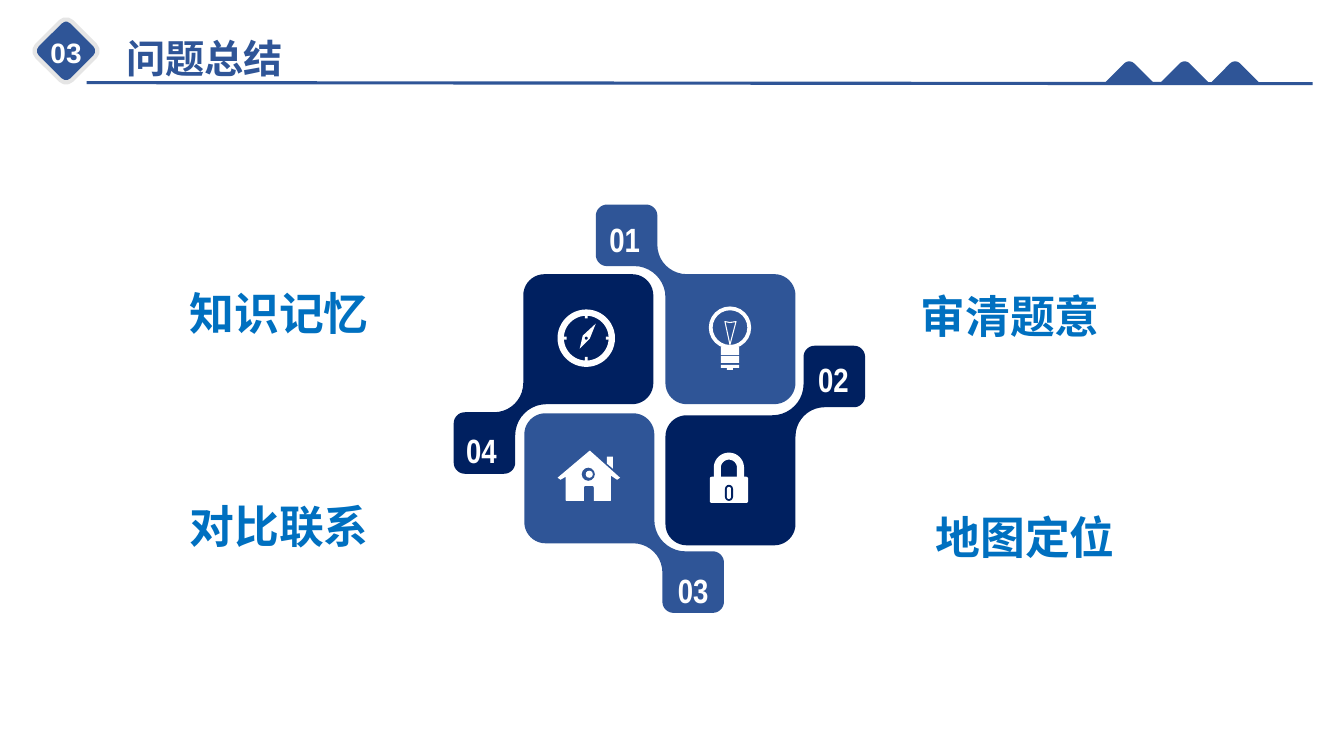
from math import dist
from lxml.etree import SubElement
from pptx import Presentation
from pptx.dml.color import RGBColor
from pptx.enum.shapes import MSO_CONNECTOR, MSO_SHAPE
from pptx.enum.text import MSO_ANCHOR, PP_ALIGN
from pptx.oxml.ns import qn
from pptx.util import Inches, Pt

COLORS = {"blue": "2F5597", "navy": "002060", "label": "0070C0", "white": "FFFFFF", "edge": "E5E5E5"}
CJK_FONT = "Noto Sans CJK SC"


def write_text(box, text, size, color, font="Arial", align=PP_ALIGN.LEFT, wrap=True, spacing=1.0):
    frame = box.text_frame
    frame.word_wrap = wrap
    frame.vertical_anchor = MSO_ANCHOR.TOP
    paragraph = frame.paragraphs[0]
    paragraph.alignment = align
    paragraph.line_spacing = spacing
    run = paragraph.add_run()
    run.text = text
    run.font.size = Pt(size)
    run.font.bold = True
    run.font.color.rgb = RGBColor.from_string(COLORS[color])
    run.font.name = font
    SubElement(run._r.get_or_add_rPr(), qn("a:ea"), typeface=CJK_FONT)


def add_outline(shapes, corners, color):
    points = []
    for index, (x, y, radius) in enumerate(corners):
        if not radius:
            points.append((x, y))
            continue
        ends = []
        for near_x, near_y, _ in (corners[index - 1], corners[(index + 1) % len(corners)]):
            share = radius / dist((x, y), (near_x, near_y))
            ends.append((x + (near_x - x) * share, y + (near_y - y) * share))
        (start_x, start_y), (end_x, end_y) = ends
        for step in range(11):
            t = step / 10
            first = (1 - t) ** 3 + 1.35 * t * (1 - t) ** 2
            last = t ** 3 + 1.35 * t ** 2 * (1 - t)
            middle = 1 - first - last
            points.append((start_x * first + x * middle + end_x * last,
                           start_y * first + y * middle + end_y * last))
    emu = [(Inches(x), Inches(y)) for x, y in points]
    builder = shapes.build_freeform(*emu[0], scale=1.0)
    builder.add_line_segments(emu[1:], close=True)
    shape = builder.convert_to_shape()
    shape.shadow.inherit = False
    shape.fill.solid()
    shape.fill.fore_color.rgb = RGBColor.from_string(COLORS[color])
    shape.line.fill.background()
    return shape


presentation = Presentation()
presentation.slide_width = Inches(13.33)
presentation.slide_height = Inches(7.5)
slide = presentation.slides.add_slide(presentation.slide_layouts[5])

title = slide.shapes.title
title.left, title.top, title.width, title.height = map(Inches, (1.15, 0.29, 1.76, 0.57))
write_text(title, "问题总结", 28, "blue", wrap=False)

badge = slide.shapes.add_shape(MSO_SHAPE.ROUNDED_RECTANGLE, *map(Inches, (0.41, 0.26, 0.49, 0.49)))
badge.rotation = 45
badge.shadow.inherit = False
badge.fill.solid()
badge.fill.fore_color.rgb = RGBColor.from_string(COLORS["blue"])
badge.line.color.rgb = RGBColor.from_string(COLORS["edge"])
badge.line.width = Pt(3)
badge_number = slide.shapes.add_textbox(*map(Inches, (0.4, 0.3, 0.51, 0.44)))
write_text(badge_number, "03", 20, "white", align=PP_ALIGN.CENTER, wrap=False)

rule = slide.shapes.add_connector(MSO_CONNECTOR.STRAIGHT, *map(Inches, (0.86, 0.82, 13.02, 0.83)))
rule.line.color.rgb = RGBColor.from_string(COLORS["blue"])
rule.line.width = Pt(2.25)
SubElement(rule._element.spPr, qn("a:effectLst"))

for peak in (11.2, 11.75, 12.25):
    add_outline(slide.shapes, [(peak - 0.25, 0.83, 0), (peak, 0.58, 0.07), (peak + 0.25, 0.83, 0)], "blue")

for left, top, text in ((9.03, 2.55, "审清题意"), (9.18, 4.74, "地图定位"),
                        (1.78, 2.52, "知识记忆"), (1.78, 4.63, "对比联系")):
    label = slide.shapes.add_textbox(*map(Inches, (left, top, 3.81, 0.91)))
    write_text(label, text, 32, "label", font=CJK_FONT, spacing=1.5)

PETAL_SIZE = 1.98
petal = [(0.69, 0, 0.21), (1.98, 0, 0.21), (1.98, 1.29, 0.21), (0.61, 1.29, 0.31),
         (0.61, 1.98, 0.11), (0, 1.98, 0.11), (0, 1.37, 0.11), (0.69, 1.37, 0.29)]
petals = {
    "04": (4.5, 2.72, "navy", 4.35, 4.22),
    "01": (5.91, 2.03, "blue", 5.77, 2.12),
    "02": (6.6, 3.43, "navy", 7.84, 3.51),
    "03": (5.2, 4.1, "blue", 6.45, 5.6),
}
groups = {}
for number, (left, top, color, number_left, number_top) in petals.items():
    groups[number] = slide.shapes.add_group_shape().shapes
    add_outline(groups[number], [(left + x, top + y, radius) for x, y, radius in petal], color)
    box = groups[number].add_textbox(*map(Inches, (number_left, number_top, 0.85, 0.5)))
    write_text(box, number, 24, "white", font="Arial Narrow", align=PP_ALIGN.CENTER)
    petal = [(PETAL_SIZE - y, x, radius) for x, y, radius in petal]

compass_needle = [(5.78, 3.33, 0), (5.91, 3.21, 0), (5.85, 3.36, 0), (5.75, 3.46, 0)]
house = [(5.85, 4.47, 0), (6.15, 4.74, 0), (6.12, 4.76, 0), (6.06, 4.72, 0), (6.06, 4.97, 0.01),
         (5.89, 4.97, 0), (5.89, 4.82, 0.02), (5.79, 4.82, 0.02), (5.79, 4.97, 0),
         (5.61, 4.97, 0.01), (5.61, 4.73, 0), (5.56, 4.76, 0), (5.53, 4.74, 0)]
chimney = [(6.02, 4.53, 0), (6.08, 4.53, 0), (6.08, 4.65, 0), (6.02, 4.6, 0)]
shackle = [(7.08, 4.74, 0), (7.08, 4.49, 0.15), (7.38, 4.49, 0.15), (7.38, 4.74, 0),
           (7.31, 4.74, 0), (7.31, 4.56, 0.08), (7.15, 4.56, 0.08), (7.15, 4.74, 0)]
bulb_tip = [(7.15, 3.62, 0), (7.33, 3.62, 0), (7.33, 3.65, 0), (7.27, 3.65, 0),
            (7.27, 3.67, 0), (7.21, 3.67, 0), (7.21, 3.65, 0), (7.15, 3.65, 0)]
for number, corners in (("04", compass_needle), ("03", house), ("03", chimney),
                        ("02", shackle), ("01", bulb_tip)):
    add_outline(groups[number], corners, "white")

filament = add_outline(groups["01"], [(7.19, 3.19, 0), (7.24, 3.2, 0), (7.3, 3.19, 0), (7.24, 3.42, 0)], "blue")
filament.line.color.rgb = RGBColor.from_string(COLORS["white"])
filament.line.width = Pt(0.75)

RING, DISC = MSO_SHAPE.DONUT, MSO_SHAPE.OVAL
BAR, ROUNDED = MSO_SHAPE.RECTANGLE, MSO_SHAPE.ROUNDED_RECTANGLE
icon_parts = [
    ("04", RING, 5.53, 3.07, 0.57, 0.57, "white", 0.11),
    ("04", BAR, 5.8, 3.12, 0.03, 0.04, "white", None),
    ("04", BAR, 5.8, 3.54, 0.03, 0.04, "white", None),
    ("04", BAR, 5.58, 3.34, 0.04, 0.03, "white", None),
    ("04", BAR, 6.01, 3.34, 0.04, 0.03, "white", None),
    ("04", DISC, 5.8, 3.34, 0.03, 0.03, "navy", None),
    ("01", RING, 7.03, 3.04, 0.42, 0.42, "white", 0.09),
    ("01", BAR, 7.15, 3.44, 0.18, 0.08, "white", None),
    ("01", BAR, 7.15, 3.53, 0.18, 0.07, "white", None),
    ("03", DISC, 5.77, 4.64, 0.13, 0.13, "blue", None),
    ("03", DISC, 5.81, 4.67, 0.07, 0.07, "white", None),
    ("02", ROUNDED, 7.04, 4.73, 0.38, 0.26, "white", 0.07),
    ("02", ROUNDED, 7.19, 4.81, 0.08, 0.16, "navy", 0.5),
    ("02", ROUNDED, 7.21, 4.83, 0.04, 0.12, "white", 0.5),
]
for number, kind, left, top, width, height, color, adjustment in icon_parts:
    shape = groups[number].add_shape(kind, *map(Inches, (left, top, width, height)))
    shape.shadow.inherit = False
    shape.fill.solid()
    shape.fill.fore_color.rgb = RGBColor.from_string(COLORS[color])
    shape.line.fill.background()
    if adjustment:
        shape.adjustments[0] = adjustment

presentation.save("out.pptx")
